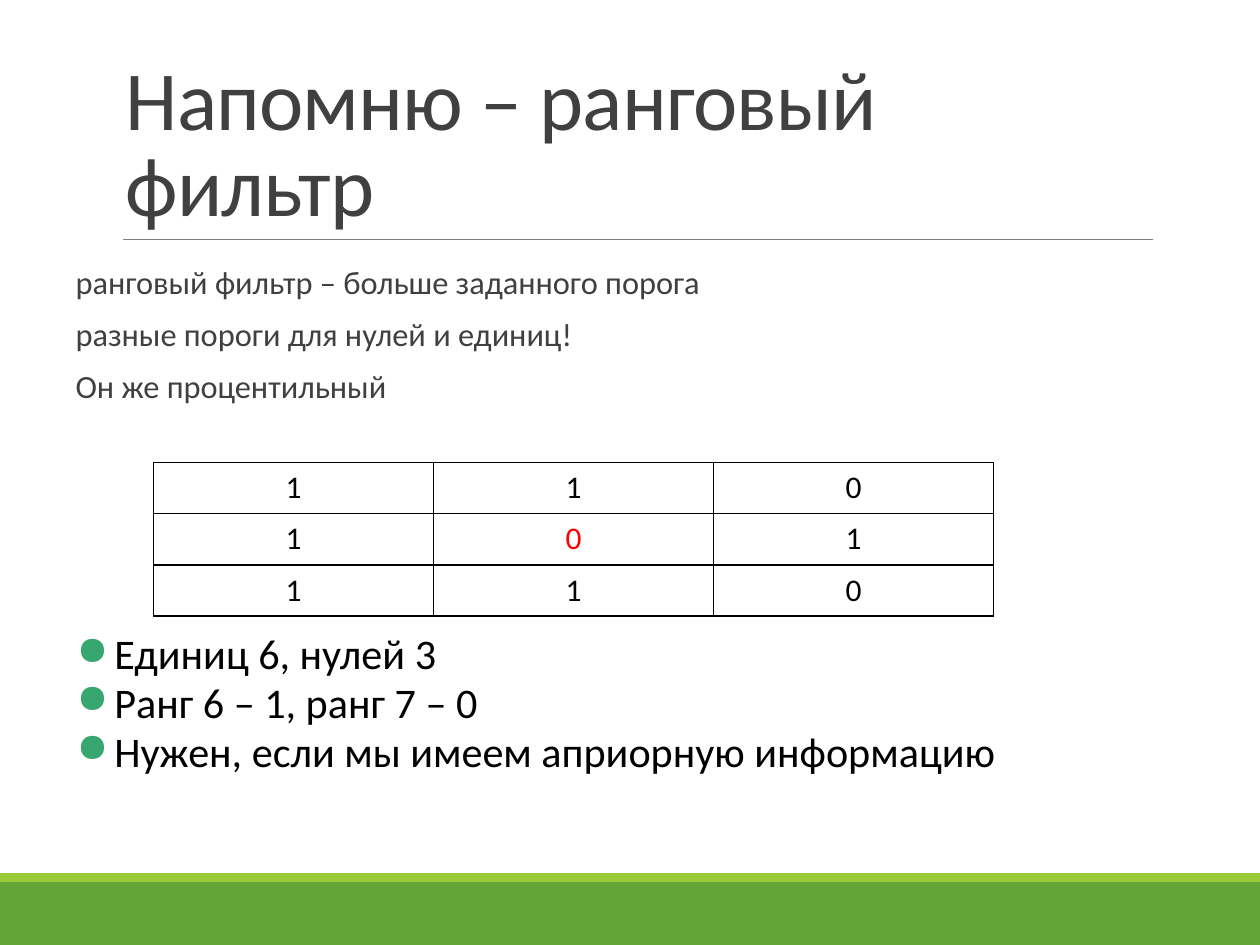
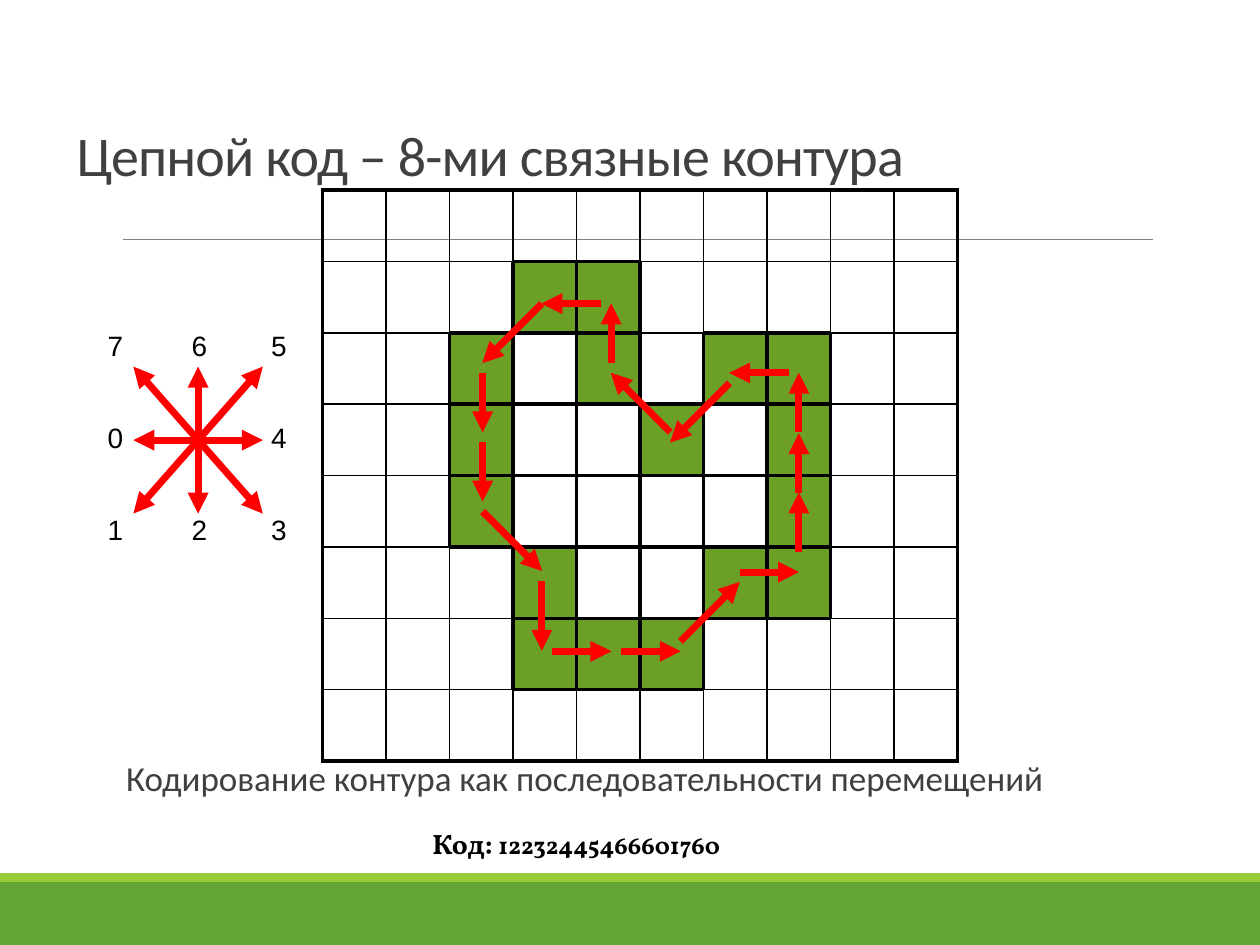
from lxml import etree
from pptx import Presentation
from pptx.dml.color import RGBColor
from pptx.enum import shapes, text
from pptx.oxml import ns
from pptx.util import Pt

COLORS = {
    "band": "63A537", "stripe": "99CB38", "rule": "808080", "text": "404040",
    "black": "000000", "red": "FF0000", "bullet": "37A76F",
    "contour": "6B9F25", "inside": "FFFFFF",
}
FONT = "Calibri"
THIN, THICK = 1, 2.25

# Chain code: digit -> step (right, down)
DIRECTIONS = {
    "0": (-1, 0), "1": (-1, 1), "2": (0, 1), "3": (1, 1),
    "4": (1, 0), "5": (1, -1), "6": (0, -1), "7": (-1, -1),
}
CHAIN_CODE = "12232445466601760"
STEP, LONG_STEP, LONG_STEP_INDEX = 34, 40, 4
STEP_STARTS = [
    (309.6, 173.5), (275.8, 213.1), (275.8, 252.7), (275.8, 292.3),
    (309.6, 331.9), (315.4, 372.2), (355, 372.2), (388.8, 366.5),
    (422.6, 326.9), (456.5, 315.4), (456.5, 281.5), (456.5, 247),
    (450.7, 213.1), (416.9, 218.9), (383, 247), (349.2, 207.4), (343.4, 173.5),
]
# "#" contour cell, "o" cell enclosed by it, "." outside
FIGURE = [
    "..........",
    "...##.....",
    "..#o#.##..",
    "..#oo#o#..",
    "..#oooo#..",
    "...#oo##..",
    "...###....",
    "..........",
]


def color(name):
    return RGBColor.from_string(COLORS[name])


def add_child(parent, tag, **attributes):
    return etree.SubElement(parent, ns.qn(tag), attributes)


def format_run(run, size, color_name, font=FONT, bold=False):
    run.font.name = font
    run.font.size = Pt(size)
    run.font.bold = bold
    run.font.color.rgb = color(color_name)


def add_bar(slide, top, height, color_name):
    bar = slide.shapes.add_shape(
        shapes.MSO_SHAPE.RECTANGLE, 0, Pt(top), Pt(720), Pt(height))
    bar.shadow.inherit = False
    bar.fill.solid()
    bar.fill.fore_color.rgb = color(color_name)
    bar.line.fill.background()


def add_line(container, start, end, color_name, width, arrow=False):
    line = container.shapes.add_connector(
        shapes.MSO_CONNECTOR.STRAIGHT, *map(Pt, start + end))
    line.line.color.rgb = color(color_name)
    line.line.width = Pt(width)
    if arrow:
        add_child(line.line._ln, "a:tailEnd", type="triangle")
    add_child(line._element.spPr, "a:effectLst")


def add_step(container, start, digit, reach):
    end = tuple(s + d * r for s, d, r in zip(start, DIRECTIONS[digit], reach))
    add_line(container, start, end, "red", 4, arrow=True)


def add_text(slide, box, lines, size, color_name, spacing=1.0, before=0, after=0,
             indent=0, bullet=None, side_inset=7.2):
    """Put one paragraph per line into a box (left, top, width, height)."""
    shape = slide.shapes.add_textbox(*map(Pt, box))
    frame = shape.text_frame
    frame.word_wrap = True
    frame.margin_left = frame.margin_right = Pt(side_inset)
    frame.text = "\n".join(lines)
    for index, paragraph in enumerate(frame.paragraphs):
        paragraph.line_spacing = spacing
        paragraph.space_before = Pt(before if index else 0)
        paragraph.space_after = Pt(after)
        properties = paragraph._p.get_or_add_pPr()
        properties.set("marL", str(Pt(indent)))
        if bullet:
            properties.set("indent", str(-Pt(indent)))
            bullet_color = add_child(properties, "a:buClr")
            add_child(bullet_color, "a:srgbClr", val=COLORS["bullet"])
            add_child(properties, "a:buSzPct", val="95000")
            add_child(properties, "a:buChar", char=bullet)
        for run in paragraph.runs:
            format_run(run, size, color_name)
    return frame


def add_title(slide, box, title, size):
    frame = add_text(slide, box, [title], size, "text", spacing=0.85)
    frame.vertical_anchor = text.MSO_ANCHOR.BOTTOM
    frame.paragraphs[0].runs[0]._r.get_or_add_rPr().set("spc", "-50")


def add_body(slide, box, lines, size):
    add_text(slide, box, lines, size, "text", spacing=0.7, before=12, after=2,
             indent=7.2, side_inset=0)


def set_borders(cell, widths):
    """Draw left, right, top and bottom borders; zero width means none."""
    properties = cell._tc.get_or_add_tcPr()
    for index, (side, width) in enumerate(zip("LRTB", widths)):
        line = etree.Element(ns.qn(f"a:ln{side}"), w=str(Pt(width)))
        if width:
            add_child(add_child(line, "a:solidFill"), "a:srgbClr", val=COLORS["black"])
        else:
            add_child(line, "a:noFill")
        properties.insert(index, line)


def add_table(slide, left, top, widths, row_height, rows, size=18, font=FONT, border=0):
    """Add a plain table of centred values and return it."""
    table = slide.shapes.add_table(
        len(rows), len(widths), Pt(left), Pt(top),
        Pt(sum(widths)), Pt(row_height * len(rows))).table
    table.first_row = table.horz_banding = False
    for column, width in zip(table.columns, widths):
        column.width = Pt(width)
    for r, values in enumerate(rows):
        table.rows[r].height = Pt(row_height)
        for c, value in enumerate(values):
            cell = table.cell(r, c)
            cell.fill.background()
            cell.margin_left = cell.margin_right = 0
            cell.margin_top = cell.margin_bottom = 0
            cell.vertical_anchor = text.MSO_ANCHOR.MIDDLE
            if value.strip():
                cell.text = value
                paragraph = cell.text_frame.paragraphs[0]
                paragraph.alignment = text.PP_ALIGN.CENTER
                format_run(paragraph.runs[0], size, "black", font)
            if border is not None:
                set_borders(cell, [border] * 4)
    return table


def figure_mark(row, column):
    """Mark of a grid cell; beyond the grid everything counts as an edge."""
    inside = 0 <= row < len(FIGURE) and 0 <= column < len(FIGURE[0])
    return FIGURE[row][column] if inside else "edge"


def add_figure_grid(slide):
    blank_rows = [" " * len(row) for row in FIGURE]
    table = add_table(slide, 184.3, 108.6, [36.29] * len(FIGURE[0]), 40.8,
                      blank_rows, border=None)
    fills = {"#": "contour", "o": "inside"}
    for r, row in enumerate(FIGURE):
        for c, mark in enumerate(row):
            cell = table.cell(r, c)
            if mark in fills:
                cell.fill.solid()
                cell.fill.fore_color.rgb = color(fills[mark])
            neighbours = [(r, c - 1), (r, c + 1), (r - 1, c), (r + 1, c)]
            set_borders(cell, [
                THIN if mark == figure_mark(*place) == "." else THICK
                for place in neighbours])


def add_compass(slide):
    add_table(slide, 54, 185, [24, 24, 24, 20, 27], 26.35,
              ["7 6 5", "     ", "0   4", "     ", "1 2 3"], 16, "Arial")
    group = slide.shapes.add_group_shape()
    for digit in DIRECTIONS:
        add_step(group, (113.2, 251.5), digit, (37, 42))


def add_contour_path(slide):
    group = slide.shapes.add_group_shape()
    for index, (start, digit) in enumerate(zip(STEP_STARTS, CHAIN_CODE)):
        length = LONG_STEP if index == LONG_STEP_INDEX else STEP
        add_step(group, start, digit, (length, length))


def add_code_caption(slide):
    frame = add_text(slide, (195.8, 468.7, 267, 52), ["Код: "], 16, "black")
    paragraph = frame.paragraphs[0]
    paragraph.alignment = text.PP_ALIGN.CENTER
    paragraph.add_run().text = CHAIN_CODE
    for run, size in zip(paragraph.runs, (16, 14)):
        format_run(run, size, "black", "Vollkorn", bold=True)


def new_slide(presentation):
    """Blank slide with the shared footer bands and title rule."""
    slide = presentation.slides.add_slide(presentation.slide_layouts[6])
    add_bar(slide, 504, 36, "band")
    add_bar(slide, 499, 5, "stripe")
    add_line(slide, (70.5, 136.8), (659, 136.8), "rule", 0.5)
    return slide


def build_rank_filter(presentation):
    slide = new_slide(presentation)
    add_title(slide, (64.8, 22.6, 594, 114.2), "Напомню – ранговый фильтр", 48)
    add_body(slide, (36, 152.6, 648, 89), [
        "ранговый фильтр – больше заданного порога",
        "разные пороги для нулей и единиц!",
        "Он же процентильный",
    ], 18.5)
    table = add_table(slide, 87.8, 264.2, [160] * 3, 29.3,
                      ["110", "101", "110"], border=THIN)
    centre = table.cell(1, 1).text_frame.paragraphs[0].runs[0]
    centre.font.color.rgb = color("red")
    add_text(slide, (36.7, 360.7, 648, 89), [
        "Единиц 6, нулей 3",
        "Ранг 6 – 1, ранг 7 – 0",
        "Нужен, если мы имеем априорную информацию",
    ], 24.1, "black", spacing=0.8, before=4.8, indent=21.6, bullet="●")


def build_chain_code(presentation):
    slide = new_slide(presentation)
    add_title(slide, (36.7, 20.9, 648, 90), "Цепной код – 8-ми связные контура", 32)
    add_body(slide, (64.8, 435.4, 594, 27),
             ["Кодирование контура как последовательности перемещений"], 20)
    add_code_caption(slide)
    add_figure_grid(slide)
    add_compass(slide)
    add_contour_path(slide)


def main():
    presentation = Presentation()
    presentation.slide_width, presentation.slide_height = Pt(720), Pt(540)
    build_rank_filter(presentation)
    build_chain_code(presentation)
    presentation.save("out.pptx")


if __name__ == "__main__":
    main()
